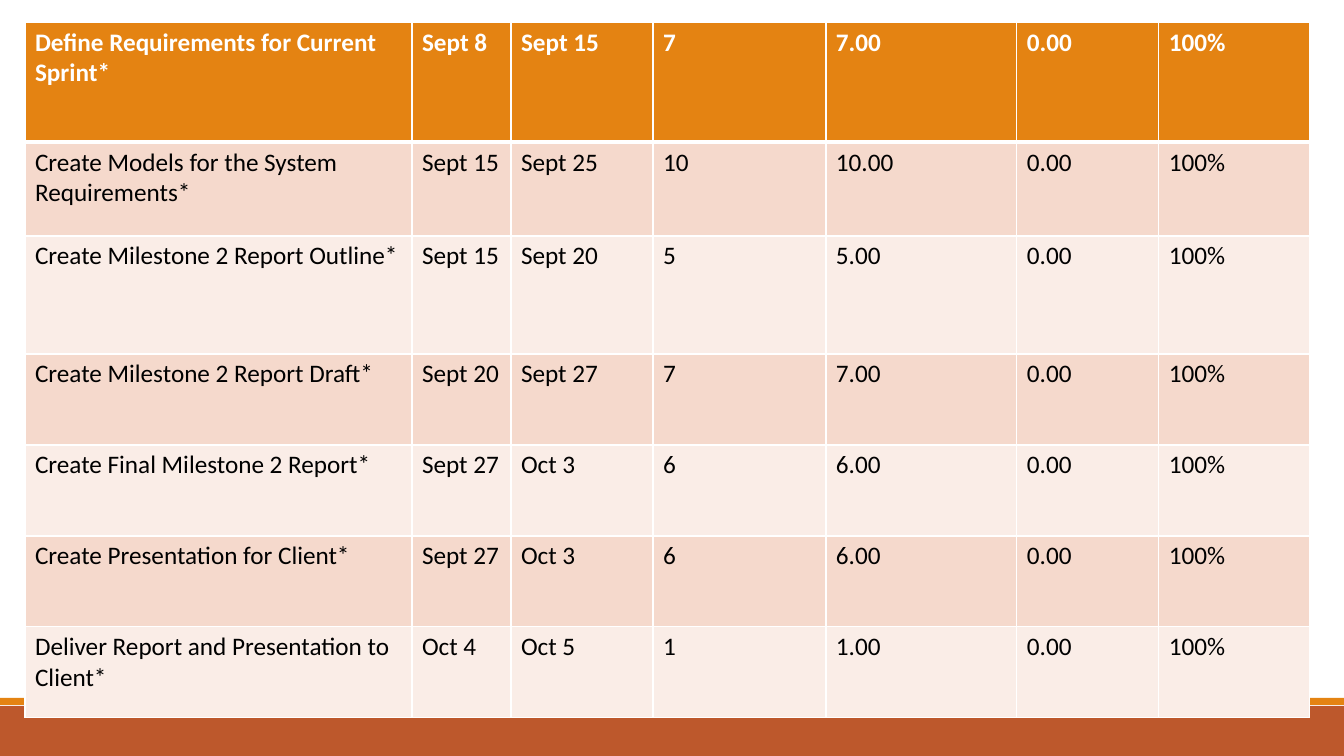
from pptx import Presentation
from pptx.dml.color import RGBColor
from pptx.enum.shapes import MSO_SHAPE
from pptx.oxml import parse_xml
from pptx.oxml.ns import nsdecls
from pptx.util import Emu, Pt

WIDE, HIGH = 1344, 756
SCALE = 12192000 / WIDE
COLORS = {
    "white": "FFFFFF",
    "black": "000000",
    "orange": "E48312",
    "rust": "BD582C",
    "peach": "F5D9CC",
    "pale": "FAEDE7",
}
COLS = [387, 99, 142, 173, 191, 142, 151]
ROWS = [120, 94, 118] + [91] * 4
TASKS = [
    ("Define Requirements for Current Sprint*", "Sept 8", "Sept 15", 7),
    ("Create Models for the System Requirements*", "Sept 15", "Sept 25", 10),
    ("Create Milestone 2 Report Outline*", "Sept 15", "Sept 20", 5),
    ("Create Milestone 2 Report Draft*", "Sept 20", "Sept 27", 7),
    ("Create Final Milestone 2 Report*", "Sept 27", "Oct 3", 6),
    ("Create Presentation for Client*", "Sept 27", "Oct 3", 6),
    ("Deliver Report and Presentation to Client*", "Oct 4", "Oct 5", 1),
]


def px(size):
    return Emu(round(size * SCALE))


def color(name):
    return RGBColor.from_string(COLORS[name])


class Deck:
    def __init__(self, font, size):
        self.font, self.size = font, Pt(size)
        self.prs = Presentation()
        self.prs.slide_width, self.prs.slide_height = px(WIDE), px(HIGH)
        self.slide = self.prs.slides.add_slide(self.prs.slide_layouts[6])

    def band(self, top, high, fill):
        bar = self.slide.shapes.add_shape(
            MSO_SHAPE.RECTANGLE, 0, px(top), px(WIDE), px(high))
        bar.shadow.inherit = False
        bar.fill.solid()
        bar.fill.fore_color.rgb = color(fill)
        bar.line.fill.background()

    def edge(self, cell, side, width):
        cell._tc.get_or_add_tcPr().append(parse_xml(
            f'<a:ln{side} {nsdecls("a")} w="{Pt(width)}"><a:solidFill>'
            f'<a:srgbClr val="{COLORS["white"]}"/></a:solidFill></a:ln{side}>'))

    def cell(self, cell, text, row):
        head = row == 0
        for side in "LRTB":
            thick = (row, side) in ((0, "B"), (1, "T"))
            self.edge(cell, side, 3 if thick else 1)
        cell.fill.solid()
        cell.fill.fore_color.rgb = color(
            "orange" if head else "peach" if row % 2 else "pale")
        cell.text_frame.text = f"{text} "
        font = cell.text_frame.paragraphs[0].runs[0].font
        font.name, font.size, font.bold = self.font, self.size, head
        font.color.rgb = color("white" if head else "black")

    def table(self, left, top, cols, rows, data):
        grid = self.slide.shapes.add_table(
            len(rows), len(cols), px(left), px(top),
            px(sum(cols)), px(sum(rows))).table
        for col, wide in zip(grid.columns, cols):
            col.width = px(wide)
        for row, high in zip(grid.rows, rows):
            row.height = px(high)
        for r, line in enumerate(data):
            for c, text in enumerate(line):
                self.cell(grid.cell(r, c), text, r)


def main():
    deck = Deck("Calibri", 18)
    deck.band(706, 50, "rust")
    deck.band(698, 7, "orange")
    data = [(task, start, end, days, f"{days:.2f}", "0.00", "100%")
            for task, start, end, days in TASKS]
    deck.table(25, 22, COLS, ROWS, data)
    deck.prs.save("out.pptx")


if __name__ == "__main__":
    main()
